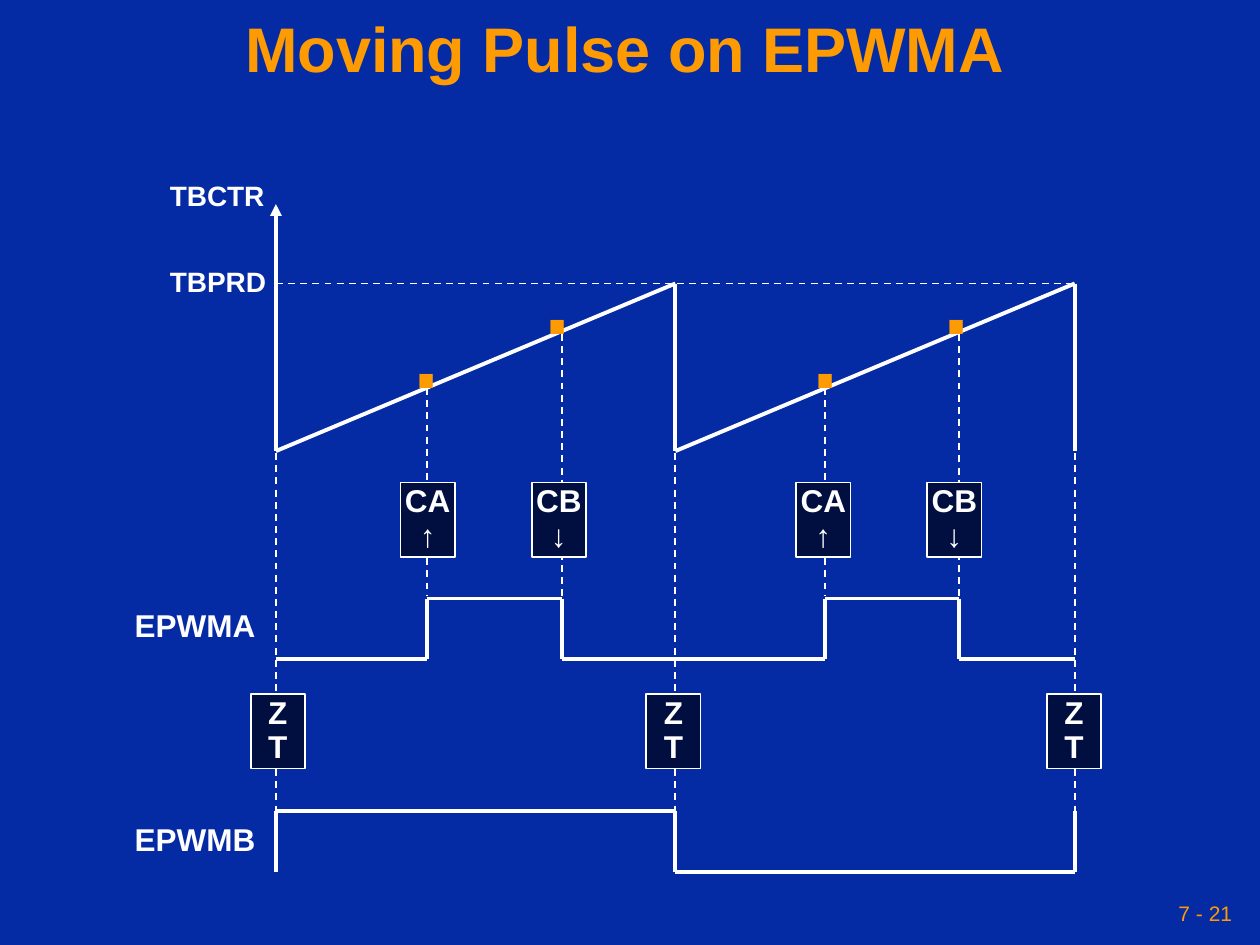
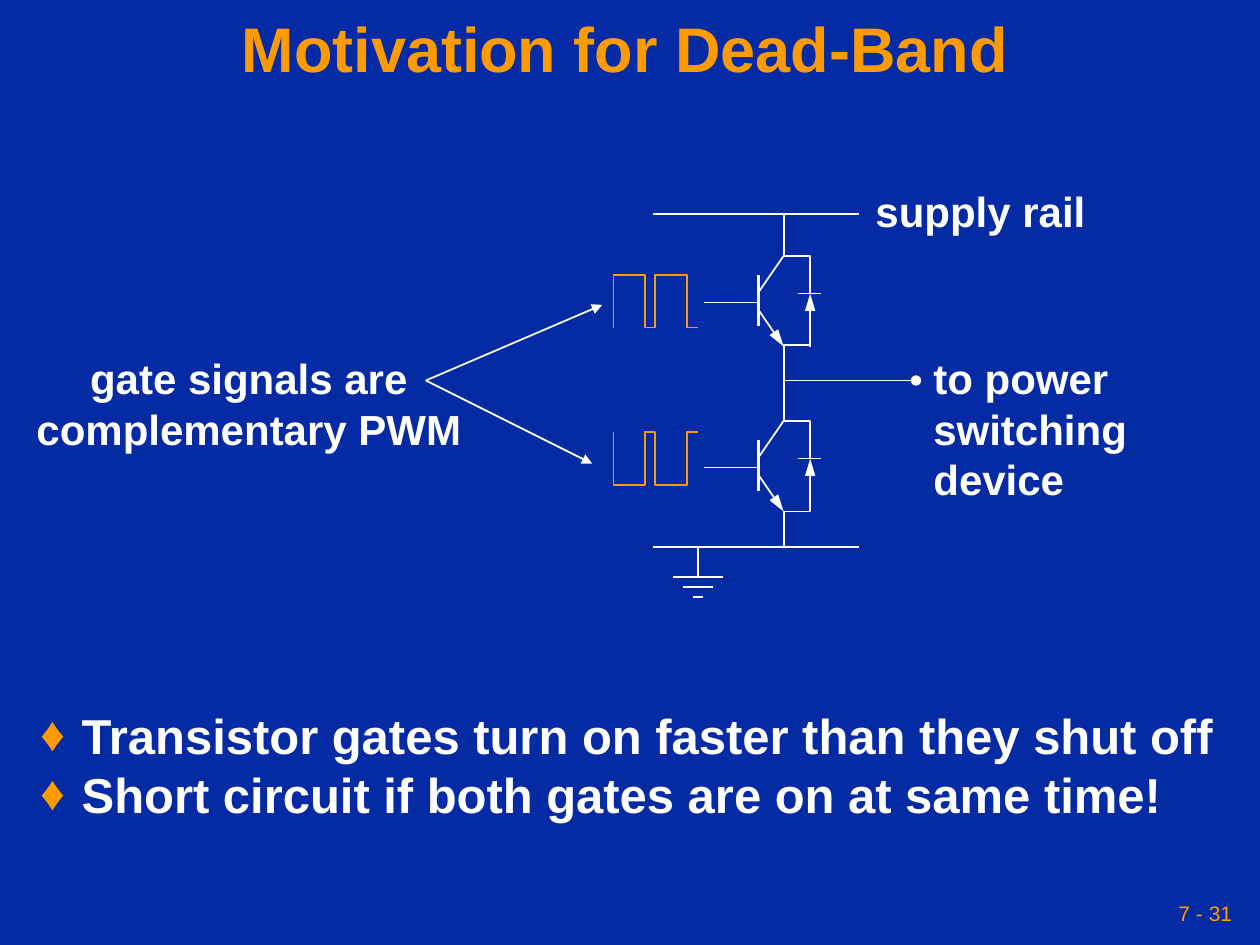
import pptx
import pptx.dml.color
import pptx.enum.dml
import pptx.enum.shapes
import pptx.enum.text
import pptx.oxml
import pptx.oxml.ns
import pptx.util

Inches = pptx.util.Inches
Pt = pptx.util.Pt
ALIGN = pptx.enum.text.PP_ALIGN
ANCHOR = pptx.enum.text.MSO_ANCHOR
qn = pptx.oxml.ns.qn

COLORS = {"background": "042AA4", "accent": "FE9B03", "ink": "FFFFFF", "box": "000F40"}
FONT = "Arial"


def color(name):
    return pptx.dml.color.RGBColor.from_string(COLORS[name])


def add_xml(parent, tag, **attributes):
    child = parent.makeelement(qn(tag), attributes)
    parent.append(child)
    return child


def add_bullet(paragraph, indent):
    properties = paragraph._p.get_or_add_pPr()
    properties.set("marL", str(Inches(indent)))
    properties.set("indent", str(-Inches(indent)))
    add_xml(add_xml(properties, "a:buClr"), "a:srgbClr", val=COLORS["accent"])
    add_xml(properties, "a:buFont", typeface=FONT)
    add_xml(properties, "a:buChar", char="♦")


def write_text(frame, text, size=18, ink="ink", bold=True, align=ALIGN.LEFT, anchor=ANCHOR.TOP,
               spacing=None, before=0, margins=(0.1, 0.05), wrap=False, bullet_indent=None):
    """Fill a text frame, one paragraph for each line of text."""
    frame.word_wrap = wrap
    frame.vertical_anchor = anchor
    frame.margin_left = frame.margin_right = Inches(margins[0])
    frame.margin_top = frame.margin_bottom = Inches(margins[1])
    for index, line in enumerate(text.split("\n")):
        paragraph = frame.add_paragraph() if index else frame.paragraphs[0]
        if bullet_indent:
            add_bullet(paragraph, bullet_indent)
        paragraph.alignment = align
        if spacing:
            paragraph.line_spacing = spacing
        if index and before:
            paragraph.space_before = Pt(before)
        run = paragraph.add_run()
        run.text = line
        run.font.name = FONT
        run.font.size = Pt(size)
        run.font.bold = bold
        run.font.color.rgb = color(ink)


class Deck:
    """Holds the presentation, its shared style and the current slide."""

    def __init__(self):
        self.presentation = pptx.Presentation()
        self.presentation.slide_width = Inches(10)
        self.presentation.slide_height = Inches(7.5)
        self.slide = None

    def new_slide(self, title, number):
        self.slide = self.presentation.slides.add_slide(self.presentation.slide_layouts[6])
        self.slide.background.fill.solid()
        self.slide.background.fill.fore_color.rgb = color("background")
        self.text(number, 6.83, 7.08, 3, 0.33, size=12, ink="accent", bold=False,
                  align=ALIGN.RIGHT, anchor=ANCHOR.MIDDLE, margins=(0.05, 0.05))
        self.text(title, 0, 0, 9.92, 0.83, size=36, ink="accent", align=ALIGN.CENTER,
                  anchor=ANCHOR.MIDDLE, spacing=0.9, margins=(0.05, 0.05), wrap=True)

    def text(self, text, left, top, width, height, **text_format):
        box = self.slide.shapes.add_textbox(
            Inches(left), Inches(top), Inches(width), Inches(height))
        write_text(box.text_frame, text, **text_format)

    def event_box(self, text, left, top):
        box = self.slide.shapes.add_shape(
            pptx.enum.shapes.MSO_SHAPE.RECTANGLE,
            Inches(left), Inches(top), Inches(0.43), Inches(0.59))
        box.shadow.inherit = False
        box.fill.solid()
        box.fill.fore_color.rgb = color("box")
        box.line.color.rgb = color("ink")
        box.line.width = Pt(1)
        write_text(box.text_frame, text, align=ALIGN.CENTER, spacing=0.8, before=2.2,
                   margins=(0, 0.05))

    def style_stroke(self, shape, ink="ink", width=1, dashed=False, head=None, tail=None,
                     arrow_length="med"):
        shape.line.color.rgb = color(ink)
        shape.line.width = Pt(width)
        if dashed:
            shape.line.dash_style = pptx.enum.dml.MSO_LINE.DASH
        outline = shape.element.spPr.find(qn("a:ln"))
        if head:
            add_xml(outline, "a:headEnd", type=head, len=arrow_length)
        if tail:
            add_xml(outline, "a:tailEnd", type=tail, len=arrow_length)
        add_xml(shape.element.spPr, "a:effectLst")

    def line(self, start, end, **stroke):
        connector = self.slide.shapes.add_connector(
            pptx.enum.shapes.MSO_CONNECTOR.STRAIGHT,
            *(Inches(value) for value in (*start, *end)))
        self.style_stroke(connector, **stroke)

    def chain(self, points, **stroke):
        """Join consecutive points with straight connectors."""
        for start, end in zip(points, points[1:]):
            self.line(start, end, **stroke)

    def outline(self, points, **stroke):
        """Draw an open, unfilled freeform through the points."""
        corners = [(Inches(x), Inches(y)) for x, y in points]
        builder = self.slide.shapes.build_freeform(*corners[0])
        builder.add_line_segments(corners[1:], close=False)
        shape = builder.convert_to_shape()
        shape.fill.background()
        self.style_stroke(shape, **stroke)


def build_moving_pulse(deck):
    deck.new_slide("Moving Pulse on EPWMA", "7 - 21")
    periods = [2.19, 5.36, 8.53]
    rises, falls = [3.39, 6.55], [4.46, 7.61]
    peak, valley = 2.25, 3.58

    for x in periods:
        deck.line((x, 3.5), (x, 6.48), dashed=True)
    for rise, fall in zip(rises, falls):
        deck.line((fall, 2.65), (fall, 4.75), dashed=True)
        deck.line((rise, 3.08), (rise, 4.73), dashed=True)

    for left in (3.18, 6.32):
        deck.event_box("CA\n↑", left, 3.83)
        deck.event_box("CB\n↓", left + 1.04, 3.83)
    for left in (1.99, 5.13, 8.31):
        deck.event_box("Z\nT", left, 5.51)

    first, second, last = periods
    deck.chain([(first, valley), (second, peak), (second, valley), (last, peak), (last, valley)],
               width=2.25)
    deck.line((first, 1.62), (first, valley), width=2.25, head="triangle")
    deck.line((first, peak), (last, peak), dashed=True)

    for label, top in (("TBCTR", 1.42), ("TBPRD", 2.1)):
        deck.text(label, 1.25, top, 1.1, 0.32, size=16, spacing=0.8, wrap=True)
    for left in (3.18, 6.35):
        for step, top in ((0, 2.46), (1.04, 2.03)):
            deck.text(".", left + step, top, 0.39, 0.82, size=54, ink="accent", spacing=0.8)
    for label, top in (("EPWMA", 4.82), ("EPWMB", 6.52)):
        deck.text(label, 0.97, top, 1.25, 0.34, spacing=0.8, wrap=True)

    high, low = 4.75, 5.23
    pulse = [(first, low)]
    for rise, fall in zip(rises, falls):
        pulse += [(rise, low), (rise, high), (fall, high), (fall, low)]
    deck.chain(pulse + [(last, low)], width=2.25)

    high, low = 6.44, 6.92
    deck.chain([(first, low), (first, high), (second, high), (second, low), (last, low),
                (last, high)], width=2.25)


def build_dead_band(deck):
    deck.new_slide("Motivation for Dead-Band", "7 - 31")
    gate, emitter, diode = 6.02, 6.22, 6.43
    long_arrow = {"arrow_length": "lg"}

    for top in (2.18, 3.49):
        deck.line((gate, top), (gate, top + 0.41), width=2)
        deck.line((gate, top + 0.14), (emitter, top - 0.15))
        deck.line((gate, top + 0.22), (5.59, top + 0.22))
        deck.line((6.33, top + 0.15), (6.52, top + 0.15))
        deck.line((gate, top + 0.28), (emitter, top + 0.57), tail="triangle", **long_arrow)
    deck.line((diode, 2.75), (diode, 2.47))

    for rail in (1.7, 4.34):
        deck.line((6.82, rail), (5.18, rail))
    deck.line((emitter, 3.02), (7.27, 3.02), tail="oval")
    deck.outline([(emitter, 1.7), (emitter, 2.03), (diode, 2.03), (diode, 2.33)])
    deck.outline([(diode, 2.33), (diode, 2.74), (emitter, 2.74), (emitter, 3.34),
                  (diode, 3.34), (diode, 3.64)], head="triangle", **long_arrow)
    deck.outline([(diode, 3.64), (diode, 4.06), (emitter, 4.06), (emitter, 4.34)],
                 head="triangle", **long_arrow)

    ground = 5.54
    deck.line((ground, 4.34), (ground, 4.58))
    for y, half_width in ((4.58, 0.2), (4.66, 0.12), (4.74, 0.04)):
        deck.line((ground - half_width, y), (ground + half_width, y))

    pulse_edges = [4.87, 5.12, 5.2, 5.45, 5.54]
    for rest, active in ((2.6, 2.18), (3.43, 3.85)):
        levels = [rest, active, rest, active, rest]
        points = []
        for index, x in enumerate(pulse_edges[:-1]):
            points += [(x, levels[index]), (x, levels[index + 1])]
        deck.outline(points + [(pulse_edges[-1], rest)], ink="accent")

    deck.text("supply rail", 6.85, 1.42, 1.87, 0.5, size=24)
    deck.text("to power switching device", 7.31, 2.75, 2.44, 1.3, size=24, wrap=True)
    deck.text("gate signals are\ncomplementary PWM", 0.19, 2.75, 3.57, 0.9, size=24,
              align=ALIGN.CENTER)
    for target in ((4.78, 2.42), (4.7, 3.68)):
        deck.line((3.38, 3.02), target, tail="triangle")

    deck.text("Transistor gates turn on faster than they shut off\n"
              "Short circuit if both gates are on at same time!",
              0.22, 5.55, 9.52, 1.03, size=28, bullet_indent=0.33)


def main():
    deck = Deck()
    build_moving_pulse(deck)
    build_dead_band(deck)
    deck.presentation.save("out.pptx")


if __name__ == "__main__":
    main()
